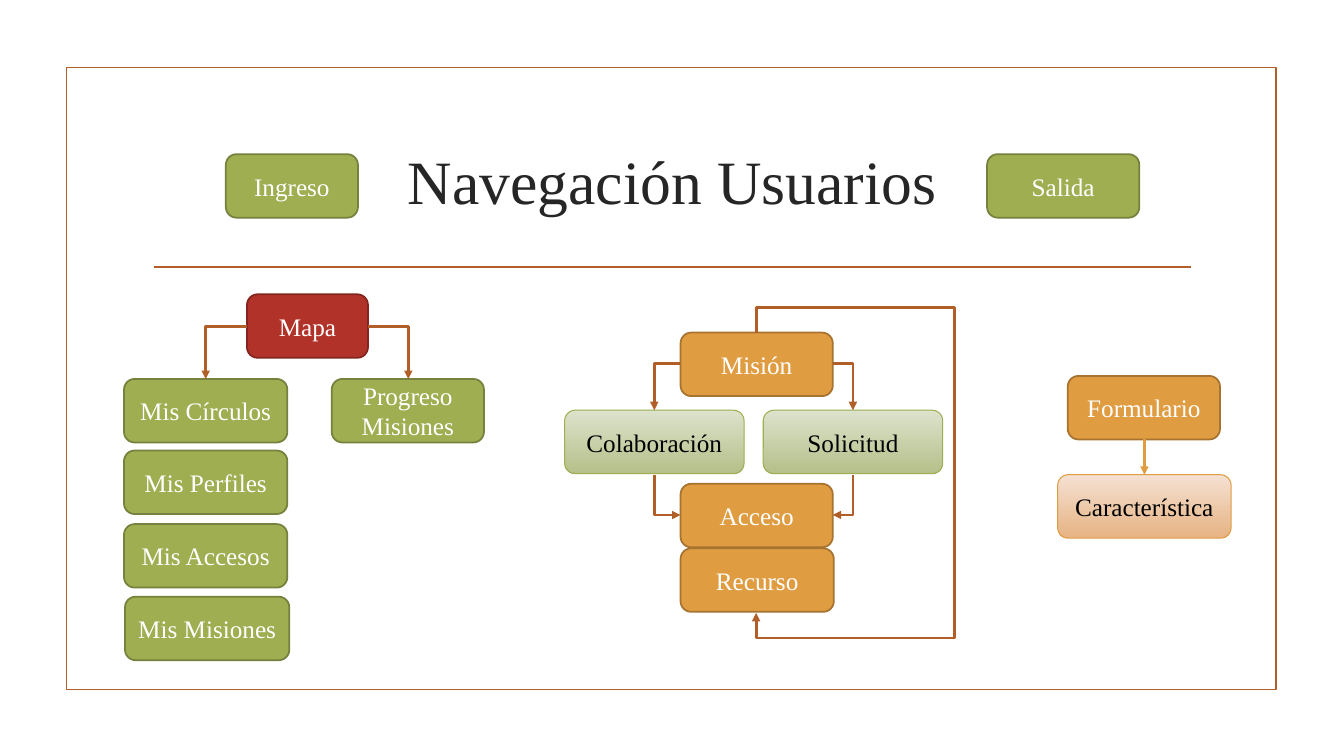
import lxml.etree
import pptx
import pptx.dml.color
import pptx.enum.shapes
import pptx.enum.text
import pptx.oxml.ns
import pptx.util
from pptx.util import Inches

RGBColor = pptx.dml.color.RGBColor
RUST = RGBColor(0xB1, 0x5E, 0x28)
INK = RGBColor(0x26, 0x26, 0x26)
WHITE = RGBColor(0xFF, 0xFF, 0xFF)
BLACK = RGBColor(0, 0, 0)
OLIVE = RGBColor(0x9E, 0xAE, 0x51)
OLIVE_EDGE = RGBColor(0x75, 0x81, 0x3C)
OLIVE_LIGHT = RGBColor(0xDD, 0xE2, 0xCC)
OLIVE_SOFT = RGBColor(0xB5, 0xC0, 0x89)
ORANGE = RGBColor(0xE0, 0x9C, 0x41)
ORANGE_EDGE = RGBColor(0xA6, 0x73, 0x30)
PEACH_LIGHT = RGBColor(0xF5, 0xE1, 0xD2)
PEACH = RGBColor(0xE6, 0xB3, 0x83)
RED = RGBColor(0xB1, 0x32, 0x28)
RED_EDGE = RGBColor(0x83, 0x25, 0x1E)

# Style: fill colours (two make a gradient), edge, edge width, text colour
GREEN_BOX = ((OLIVE,), OLIVE_EDGE, 1.25, WHITE)
ORANGE_BOX = ((ORANGE,), ORANGE_EDGE, 1.25, WHITE)
RED_BOX = ((RED,), RED_EDGE, 1.25, WHITE)
PALE_GREEN_BOX = ((OLIVE_LIGHT, OLIVE_SOFT), OLIVE, 0.75, BLACK)
PALE_ORANGE_BOX = ((PEACH_LIGHT, PEACH), ORANGE, 0.75, BLACK)

FONT = "Times New Roman"
BOX_HEIGHT = 0.63

# Label, left, top, width, style
BOXES = [
    ("Ingreso", 2.24, 1.53, 1.31, GREEN_BOX),
    ("Salida", 9.79, 1.53, 1.51, GREEN_BOX),
    ("Mapa", 2.45, 2.92, 1.2, RED_BOX),
    ("Mis Círculos", 1.23, 3.76, 1.62, GREEN_BOX),
    ("Mis Perfiles", 1.23, 4.47, 1.62, GREEN_BOX),
    ("Mis Accesos", 1.23, 5.2, 1.62, GREEN_BOX),
    ("Mis Misiones", 1.24, 5.92, 1.63, GREEN_BOX),
    ("Progreso\nMisiones", 3.29, 3.76, 1.51, GREEN_BOX),
    ("Misión", 6.75, 3.3, 1.51, ORANGE_BOX),
    ("Colaboración", 5.6, 4.07, 1.78, PALE_GREEN_BOX),
    ("Solicitud", 7.57, 4.07, 1.78, PALE_GREEN_BOX),
    ("Recurso", 6.75, 5.44, 1.52, ORANGE_BOX),
    ("Acceso", 6.75, 4.8, 1.51, ORANGE_BOX),
    ("Formulario", 10.59, 3.73, 1.51, ORANGE_BOX),
    ("Característica", 10.49, 4.71, 1.72, PALE_ORANGE_BOX),
]

# Elbows leave the first point sideways: start, end, arrowhead end
ELBOWS = [
    ((2.45, 3.24), (2.04, 3.76), "tailEnd"),
    ((3.65, 3.24), (4.05, 3.76), "tailEnd"),
    ((6.75, 3.61), (6.49, 4.07), "tailEnd"),
    ((8.26, 3.61), (8.46, 4.07), "tailEnd"),
    ((6.75, 5.11), (6.49, 4.71), "headEnd"),
    ((8.26, 5.11), (8.46, 4.71), "headEnd"),
]
MISSION_LOOP = [(7.5, 3.3), (7.5, 3.05), (9.47, 3.05), (9.47, 6.33),
                (7.5, 6.33), (7.5, 6.08)]


def set_line(shape, color, width, arrow_end=None):
    shape.line.color.rgb = color
    shape.line.width = pptx.util.Pt(width)
    if arrow_end:
        arrow = lxml.etree.SubElement(shape.line._get_or_add_ln(),
                                      pptx.oxml.ns.qn("a:" + arrow_end))
        arrow.set("type", "triangle")


def style_text(frame, size, color):
    frame.vertical_anchor = pptx.enum.text.MSO_ANCHOR.MIDDLE
    for paragraph in frame.paragraphs:
        paragraph.alignment = pptx.enum.text.PP_ALIGN.CENTER
        for run in paragraph.runs:
            run.font.name = FONT
            run.font.size = pptx.util.Pt(size)
            run.font.color.rgb = color


def add_frame(slide):
    frame = slide.shapes.add_shape(pptx.enum.shapes.MSO_SHAPE.RECTANGLE,
                                   Inches(0.66), Inches(0.67), Inches(12), Inches(6.17))
    frame.shadow.inherit = False
    frame.fill.background()
    set_line(frame, RUST, 1.25)


def format_title(slide):
    title = slide.shapes.title
    title.left, title.top = Inches(1.42), Inches(1.07)
    title.width, title.height = Inches(10.5), Inches(1.43)
    title.text_frame.text = "Navegación Usuarios"
    style_text(title.text_frame, 44, INK)


def add_box(slide, label, left, top, width, style):
    fills, edge, edge_width, text_color = style
    box = slide.shapes.add_shape(pptx.enum.shapes.MSO_SHAPE.ROUNDED_RECTANGLE,
                                 Inches(left), Inches(top), Inches(width), Inches(BOX_HEIGHT))
    box.shadow.inherit = False
    if len(fills) == 1:
        box.fill.solid()
        box.fill.fore_color.rgb = fills[0]
    else:
        box.fill.gradient()
        box.fill.gradient_angle = 270
        for stop, color in zip(box.fill.gradient_stops, fills):
            stop.color.rgb = color
    set_line(box, edge, edge_width)
    frame = box.text_frame
    frame.margin_left = frame.margin_right = Inches(0.05)
    frame.text = label
    style_text(frame, 18, text_color)


def add_link(slide, start, end, color, width, arrow_end=None, elbow=False):
    kinds = pptx.enum.shapes.MSO_CONNECTOR
    link = slide.shapes.add_connector(kinds.ELBOW if elbow else kinds.STRAIGHT,
                                      *map(Inches, start + end))
    properties = link._element.spPr
    if elbow:
        properties.find(pptx.oxml.ns.qn("a:prstGeom")).set("prst", "bentConnector2")
    set_line(link, color, width, arrow_end)
    lxml.etree.SubElement(properties, pptx.oxml.ns.qn("a:effectLst"))


def add_loop(slide, points):
    corners = [(Inches(x), Inches(y)) for x, y in points]
    builder = slide.shapes.build_freeform(*corners[0])
    builder.add_line_segments(corners[1:], close=False)
    loop = builder.convert_to_shape()
    loop.shadow.inherit = False
    loop.fill.background()
    set_line(loop, RUST, 2, "tailEnd")


def main():
    presentation = pptx.Presentation()
    presentation.slide_width = Inches(13.33)
    presentation.slide_height = Inches(7.5)
    slide = presentation.slides.add_slide(presentation.slide_layouts[5])

    # Frame, title and rule
    add_frame(slide)
    format_title(slide)
    add_link(slide, (1.53, 2.65), (11.81, 2.65), RUST, 1.25)

    # Navigation boxes
    for box in BOXES:
        add_box(slide, *box)

    # Arrows between the boxes
    for start, end, arrow_end in ELBOWS:
        add_link(slide, start, end, RUST, 2, arrow_end, elbow=True)
    add_link(slide, (11.35, 4.36), (11.35, 4.71), ORANGE, 2, "tailEnd")
    add_loop(slide, MISSION_LOOP)

    presentation.save("out.pptx")


if __name__ == "__main__":
    main()
